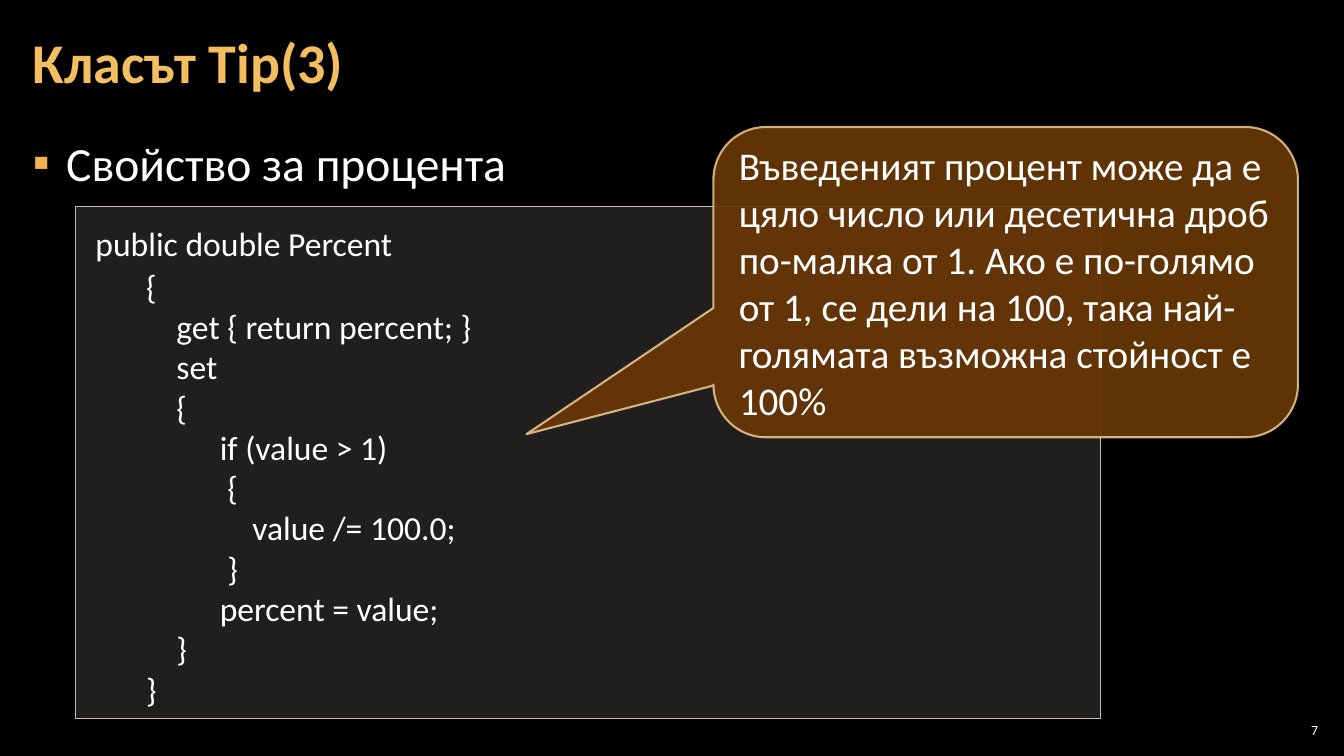
import pptx
import pptx.dml.color
import pptx.enum.shapes
import pptx.enum.text
import pptx.oxml
import pptx.oxml.ns
import pptx.util
from pptx.util import Cm

ANCHOR = pptx.enum.text.MSO_ANCHOR
ALIGN = pptx.enum.text.PP_ALIGN
SHAPE = pptx.enum.shapes.MSO_SHAPE
NS = pptx.oxml.ns.nsdecls("a")


def rgb(value):
    return pptx.dml.color.RGBColor.from_string(value)


def write(p, text, size, color="FFFFFF", bold=False):
    r = p.add_run()
    r.text = text
    values = {"name": "Calibri", "size": pptx.util.Pt(size), "bold": bold}
    for name, value in values.items():
        setattr(r.font, name, value)
    r.font.color.rgb = rgb(color)


prs = pptx.Presentation()
prs.slide_width, prs.slide_height = Cm(33.87), Cm(19.05)
s = prs.slides.add_slide(prs.slide_layouts[5])
s.background.fill.solid()
s.background.fill.fore_color.rgb = rgb("000000")

# Text frames: title, bullet, slide number
title = s.shapes.title
title.left, title.top, title.width, title.height = Cm(0.53), Cm(0.1), Cm(32.79), Cm(3.07)
bullet = s.shapes.add_textbox(Cm(0.53), Cm(3.2), Cm(32.79), Cm(1.9))
number = s.shapes.add_textbox(Cm(32.13), Cm(18.14), Cm(1.19), Cm(0.53))
for sp, side, anchor in [
    (title, 0.3, ANCHOR.MIDDLE),
    (bullet, 0.3, ANCHOR.TOP),
    (number, 0.1, ANCHOR.MIDDLE),
]:
    frame = {
        "word_wrap": True,
        "auto_size": pptx.enum.text.MSO_AUTO_SIZE.NONE,
        "vertical_anchor": anchor,
        "margin_left": Cm(side),
        "margin_right": Cm(side),
        "margin_top": Cm(0.1),
        "margin_bottom": Cm(0.1),
    }
    for name, value in frame.items():
        setattr(sp.text_frame, name, value)

# Title
p = title.text_frame.paragraphs[0]
p.alignment = ALIGN.LEFT
p.line_spacing = 0.9
write(p, "Класът Tip(3)", 40, "F3BE60", True)

# Bullet
p = bullet.text_frame.paragraphs[0]
p.line_spacing = 1.05
pPr = p._p.get_or_add_pPr()
pPr.set("marL", str(Cm(0.84)))
pPr.set("indent", str(-Cm(0.84)))
for xml in (
    f'<a:buClr {NS}><a:srgbClr val="F2B254"/></a:buClr>',
    f'<a:buFont {NS} typeface="Calibri"/>',
    f'<a:buChar {NS} char="▪"/>',
):
    pPr.append(pptx.oxml.parse_xml(xml))
write(p, "Свойство за процента", 34)

# Code panel and callout
code = s.shapes.add_shape(SHAPE.RECTANGLE, Cm(1.9), Cm(5.21), Cm(25.83), Cm(12.9))
callout = s.shapes.add_shape(
    SHAPE.ROUNDED_RECTANGULAR_CALLOUT, Cm(17.98), Cm(3.2), Cm(14.73), Cm(7.82)
)
for i, value in enumerate((-0.82, 0.49, 0.17)):
    callout.adjustments[i] = value

for sp, fill, fill_alpha, line, line_alpha, width, anchor in [
    (code, "D9D5C7", 15, "C7BFAC", 100, 1, ANCHOR.TOP),
    (callout, "663606", 95, "F8D49E", 80, 1.5, ANCHOR.MIDDLE),
]:
    sp.shadow.inherit = False
    sp.line.width = pptx.util.Pt(width)
    sp.fill.solid()
    sp.line.fill.solid()
    for paint, color, alpha in ((sp.fill, fill, fill_alpha), (sp.line.fill, line, line_alpha)):
        paint.fore_color.rgb = rgb(color)
        clr = paint._xPr.find(".//" + pptx.oxml.ns.qn("a:solidFill"))[0]
        clr.append(pptx.oxml.parse_xml(f'<a:alpha {NS} val="{alpha * 1000}"/>'))
    sp.text_frame.word_wrap = True
    sp.text_frame.vertical_anchor = anchor

# Code text
lines = [
    "public double Percent",
    "        {",
    "            get { return percent; }",
    "            set",
    "            {",
    "\tif (value > 1)",
    "               \t {",
    "                      value /= 100.0;",
    "               \t }",
    "                \tpercent = value;",
    "            }",
    "        }",
]
tf = code.text_frame
for i, text in enumerate(lines):
    p = tf.add_paragraph() if i else tf.paragraphs[0]
    p.alignment = ALIGN.LEFT
    p._p.get_or_add_pPr().append(
        pptx.oxml.parse_xml(f'<a:tabLst {NS}><a:tab pos="{Cm(3.39)}" algn="l"/></a:tabLst>')
    )
    if i == 0:
        write(p, " ", 32)
    write(p, text, 24)

# Callout text
p = callout.text_frame.paragraphs[0]
p.alignment = ALIGN.LEFT
write(
    p,
    "Въведеният процент може да е цяло число или десетична дроб по-малка от 1. "
    "Ако е по-голямо от 1, се дели на 100, така най-голямата възможна стойност е 100%",
    28,
)

# Slide number
p = number.text_frame.paragraphs[0]
p.alignment = ALIGN.RIGHT
write(p, "7", 10)

prs.save("out.pptx")
